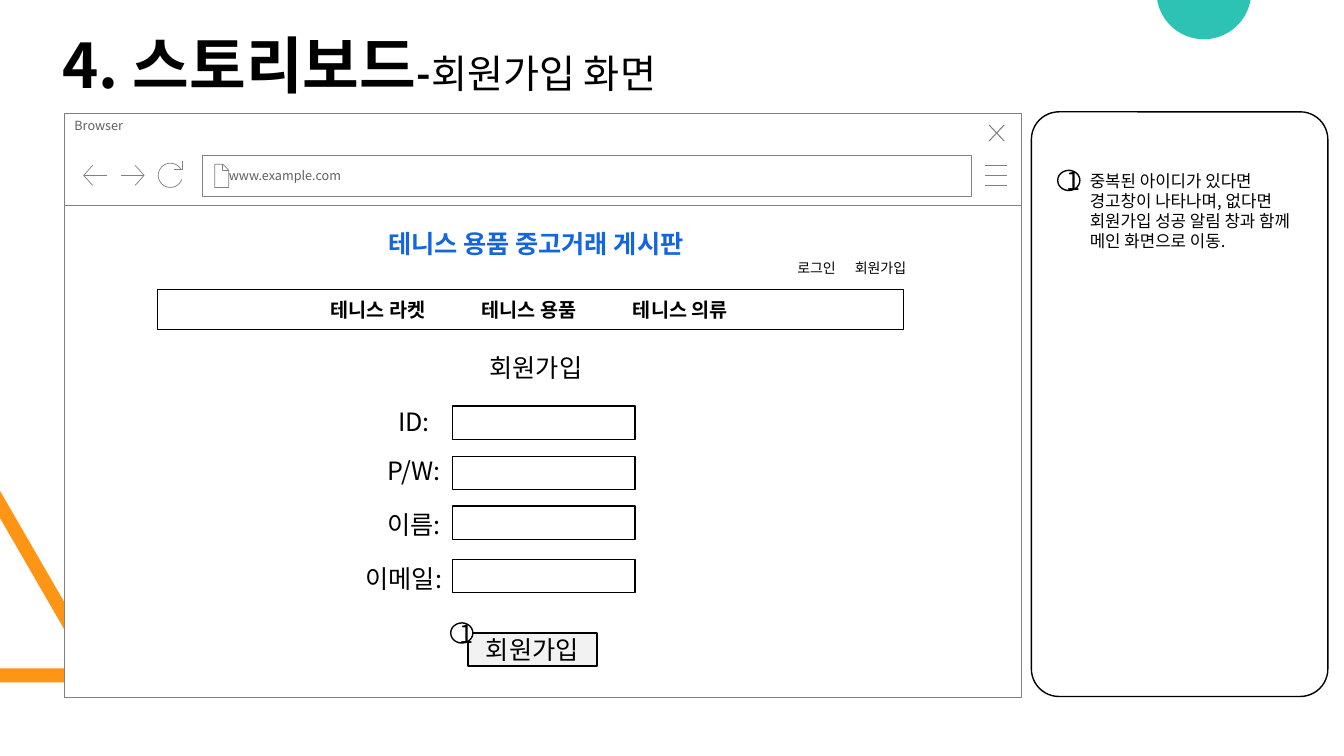
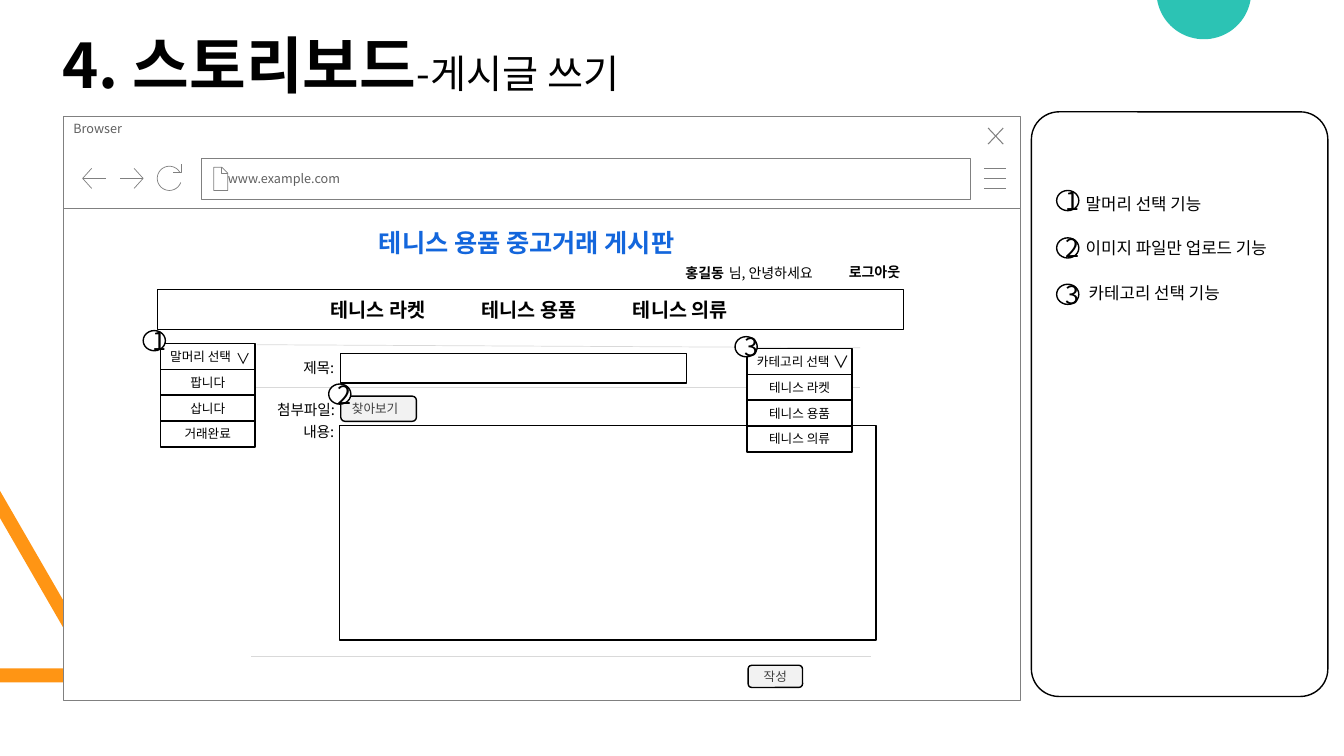
import math

import pptx
import pptx.util
from lxml import etree
from pptx.dml.color import RGBColor
from pptx.enum.shapes import MSO_CONNECTOR, MSO_SHAPE
from pptx.enum.text import MSO_ANCHOR, MSO_AUTO_SIZE, PP_ALIGN
from pptx.oxml.ns import qn

FONT = "Noto Sans CJK KR"
BLACK, WHITE, GRAY, PALE = "000000", "FFFFFF", "808080", "F2F2F2"
DIM, DARK, BLUE, RULE = "5F5F5F", "404040", "1366DC", "D9D9D9"
ORANGE, TEAL = "FF9514", "2CC3B4"
RECT, ROUND, OVAL = MSO_SHAPE.RECTANGLE, MSO_SHAPE.ROUNDED_RECTANGLE, MSO_SHAPE.OVAL
LEFT, MID, JUST = PP_ALIGN.LEFT, PP_ALIGN.CENTER, PP_ALIGN.JUSTIFY

HEAD = "4. 스토리보드"
SITE = "테니스 용품 중고거래 게시판"
GOODS = ["테니스 라켓", "테니스 용품", "테니스 의류"]

# label, label left, label top, field top
FIELDS = [
    ("ID:", 3.2, 3.98, 4.03),
    ("P/W:", 3.2, 4.47, 4.53),
    ("이름:", 3.2, 5, 5.02),
    ("이메일:", 3.1, 5.54, 5.55),
]
JOIN_NOTE = ("중복된 아이디가 있다면 경고창이 나타나며, 없다면 "
             "회원가입 성공 알림 창과 함께 메인 화면으로 이동.")

# text, left, top, width, bold
USER = [
    ("홍길동", 6.7, 2.58, 0.76, True),
    ("님, 안녕하세요", 7.13, 2.58, 2, False),
    ("로그아웃", 8.32, 2.57, 0.84, True),
]
RULES = [(2.55, 3.42, 8.53, 3.45), (2.49, 6.51, 8.64, 6.51), (2.48, 3.84, 8.53, 3.84)]
# label, label place, field place
POST = [
    ("제목:", (2.91, 3.51, 0.71, 0.28), (3.38, 3.51, 3.43, 0.29)),
    ("내용:", (2.91, 4.15, 0.71, 0.28), (3.37, 4.22, 5.32, 2.13)),
    ("첨부파일:", (2.65, 3.93, 0.92, 0.28), None),
]
BUTTONS = [
    ("찾아보기", (3.38, 3.93, 0.75, 0.25), JUST),
    ("작성", (7.42, 6.6, 0.54, 0.22), MID),
]
# left, top, width, heading, choices, mark size, mark drop
MENUS = [
    (1.59, 3.41, 0.94, "말머리 선택", ["팝니다", "삽니다", "거래완료"], 10.5, 0.01),
    (7.41, 3.46, 1.04, "카테고리 선택", GOODS, 12, -0.02),
]
BADGES = [("1", 1.42, 3.28), ("2", 3.26, 3.81), ("3", 7.29, 3.34)]
# number, badge top, text, text left, text top
NOTES = [
    ("1", 1.89, "말머리 선택 기능", 10.67, 1.87),
    ("2", 2.36, "이미지 파일만 업로드 기능", 10.67, 2.31),
    ("3", 2.82, "카테고리 선택 기능", 10.7, 2.76),
]


def emu(*vals):
    return [pptx.util.Inches(v) for v in vals]


def rgb(code):
    return RGBColor.from_string(code)


def write(shape, text, size=18, color=BLACK, bold=False, align=MID,
          anchor=MSO_ANCHOR.MIDDLE, pads=None, tabs=(), edge=None, space=None):
    """Fill a shape with one paragraph; text is a string or (text, size, bold) runs."""
    frame = shape.text_frame
    frame.word_wrap = True
    frame.vertical_anchor = anchor
    if pads:
        frame.margin_left, frame.margin_right = emu(*pads)
    para = frame.paragraphs[0]
    para.alignment = align
    if space:
        para.line_spacing = space
    if tabs:
        stops = etree.SubElement(para._p.get_or_add_pPr(), qn("a:tabLst"))
        for pos in tabs:
            etree.SubElement(stops, qn("a:tab"), pos=str(emu(pos)[0]), algn="l")
    for words, points, heavy in [(text, size, bold)] if isinstance(text, str) else text:
        run = para.add_run()
        run.text = words
        font = run.font
        font.size, font.bold, font.name = pptx.util.Pt(points), heavy, FONT
        font.color.rgb = rgb(color)
        props = run._r.get_or_add_rPr()
        etree.SubElement(props, qn("a:ea"), typeface=FONT)
        if edge:
            line = etree.Element(qn("a:ln"), w=str(pptx.util.Pt(edge)))
            fill = etree.SubElement(line, qn("a:solidFill"))
            etree.SubElement(fill, qn("a:srgbClr"), val=color)
            props.insert(0, line)


def style(shape, fill=None, line=None, width=1):
    shape.shadow.inherit = False
    if fill:
        shape.fill.solid()
        shape.fill.fore_color.rgb = rgb(fill)
    else:
        shape.fill.background()
    if line:
        shape.line.color.rgb = rgb(line)
        shape.line.width = pptx.util.Pt(width)
    else:
        shape.line.fill.background()


def box(shapes, place, text=None, kind=RECT, fill=WHITE, line=BLACK, width=1, **fmt):
    shape = shapes.add_shape(kind, *emu(*place))
    style(shape, fill, line, width)
    if text:
        write(shape, text, **fmt)
    return shape


def label(shapes, place, text, align=LEFT, **fmt):
    shape = shapes.add_textbox(*emu(*place))
    write(shape, text, align=align, anchor=MSO_ANCHOR.TOP, **fmt)
    shape.text_frame.auto_size = MSO_AUTO_SIZE.SHAPE_TO_FIT_TEXT


def badge(shapes, text, left, top):
    box(shapes, (left, top, 0.22, 0.2), text, OVAL)


def draw(shapes, *strokes, close=False, **look):
    """Draw strokes, each a list of points in inches, as one freeform."""
    pen = None
    for stroke in strokes:
        first, *rest = [emu(*point) for point in stroke]
        if pen is None:
            pen = shapes.build_freeform(*first, scale=1.0)
        else:
            pen.move_to(*first)
        pen.add_line_segments(rest, close=close)
    style(pen.convert_to_shape(), **look)


def arc(x, y, radius, start, end, steps=40):
    turns = [math.radians(start + (end - start) * i / steps) for i in range(steps + 1)]
    return [(x + radius * math.cos(t), y + radius * math.sin(t)) for t in turns]


def browser(slide, x, y):
    shapes = slide.shapes.add_group_shape().shapes
    thin = dict(line=GRAY, width=0.5)
    small = dict(size=9, color=DIM, align=LEFT)

    def icon(*strokes, width=0.5):
        draw(shapes, *[[(x + a, y + b) for a, b in s] for s in strokes],
             line=GRAY, width=width)

    box(shapes, (x, y + 0.92, 9.49, 4.88), **thin)
    box(shapes, (x, y, 9.49, 0.92), "Browser", anchor=MSO_ANCHOR.TOP,
        pads=(0.1, 0.25), **small, **thin)
    icon(*[[(9.13, b), (9.35, b)] for b in (0.52, 0.62, 0.72)])
    icon([(9.32, 0.12), (9.17, 0.28)], [(9.17, 0.12), (9.32, 0.28)], width=0.75)
    box(shapes, (x + 1.37, y + 0.42, 7.62, 0.41), "www.example.com",
        pads=(0.26, 0.1), **small, **thin)
    icon([(1.57, 0.51), (1.57, 0.57), (1.63, 0.57)],
         [(1.57, 0.51), (1.49, 0.51), (1.49, 0.74), (1.63, 0.74), (1.63, 0.57), (1.57, 0.51)])
    for tip, tail, wing in ((0.19, 0.42, 0.28), (0.79, 0.56, 0.7)):
        icon([(wing, 0.52), (tip, 0.62), (wing, 0.72)], [(tip, 0.62), (tail, 0.62)])
    icon([(1.17, 0.48), (1.17, 0.56), (1.09, 0.56)], arc(1.05, 0.62, 0.12, 20, 332))


def base(deck, title, corner, site):
    """Add a slide with the title, decoration, browser frame and site header."""
    slide = deck.slides.add_slide(deck.slide_layouts[5])
    shapes = slide.shapes
    draw(shapes, [(0, 6.77), (0, 6.63), (0.86, 6.63), (0, 5.14), (0, 4.87),
                  (1.04, 6.67), (1.05, 6.7), (1.03, 6.75), (0.98, 6.77)],
         close=True, fill=ORANGE)
    draw(shapes, arc(11.94, -0.08, 0.47, 10, 170), close=True, fill=TEAL)
    panel = box(shapes, (10.23, 1.11, 2.94, 5.8), kind=ROUND)
    panel.adjustments[0] = 0.093
    browser(slide, *corner)
    box(shapes, (1.56, 2.87, 7.4, 0.4), "".join("\t" + name for name in GOODS),
        size=14, bold=True, align=LEFT, tabs=[1.62 + 1.5 * i for i in range(len(GOODS))])
    label(shapes, (*site, 4.15, 0.4), SITE, color=BLUE, bold=True)
    head = shapes.title
    head.left, head.top, head.width, head.height = emu(0.52, 0.3, 10.24, 1.05)
    write(head, [(HEAD, 44, True), *title], align=LEFT, anchor=MSO_ANCHOR.TOP, space=0.9)
    return slide


def join(deck):
    title = [("-", 28, True), ("회원가입 화면", 28, False)]
    shapes = base(deck, title, (0.64, 1.12), (3.75, 2.22)).shapes
    label(shapes, (7.81, 2.53, 1.43, 0.27), "로그인\t회원가입", size=10, tabs=[0.57])
    label(shapes, (4.41, 3.45, 1.81, 0.4), "회원가입", align=MID)
    for name, left, top, field in FIELDS:
        label(shapes, (left, top, 1.81, 0.4), name, align=MID)
        box(shapes, (4.49, field, 1.81, 0.33))
    box(shapes, (4.64, 6.28, 1.28, 0.33), "회원가입", fill=PALE)
    badge(shapes, "1", 4.47, 6.18)
    badge(shapes, "1", 10.49, 1.69)
    label(shapes, (10.71, 1.64, 2.21, 0.91), JOIN_NOTE, size=12)


def post(deck):
    shapes = base(deck, [("-게시글 쓰기", 28, False)], (0.63, 1.15), (3.66, 2.21)).shapes
    for text, left, top, width, bold in USER:
        label(shapes, (left, top, width, 0.27), text, size=10, bold=bold)
    for ends in RULES:
        line = shapes.add_connector(MSO_CONNECTOR.STRAIGHT, *emu(*ends))
        line.line.color.rgb = rgb(RULE)
        line.line.width = pptx.util.Pt(0.5)
        etree.SubElement(line._element.spPr, qn("a:effectLst"))
    for name, place, field in POST:
        label(shapes, place, name, size=10.5)
        if field:
            box(shapes, field)
    for text, place, align in BUTTONS:
        box(shapes, place, text, ROUND, PALE, size=9, color=DARK, align=align)
    for left, top, width, head, items, size, drop in MENUS:
        for i, item in enumerate([head, *items]):
            box(shapes, (left, top + 0.255 * i, width, 0.26), item, size=9,
                align=MID if i else LEFT)
        label(shapes, (left + width - 0.29, top + drop, 0.31, 0.28), "∨",
              size=size, edge=0.75)
    for spot in BADGES:
        badge(shapes, *spot)
    for number, top, text, left, line in NOTES:
        badge(shapes, number, 10.48, top)
        label(shapes, (left, line, 2.43, 0.3), text, size=12)


def main():
    deck = pptx.Presentation()
    deck.slide_width, deck.slide_height = emu(13.33, 7.5)
    join(deck)
    post(deck)
    deck.save("out.pptx")


if __name__ == "__main__":
    main()
